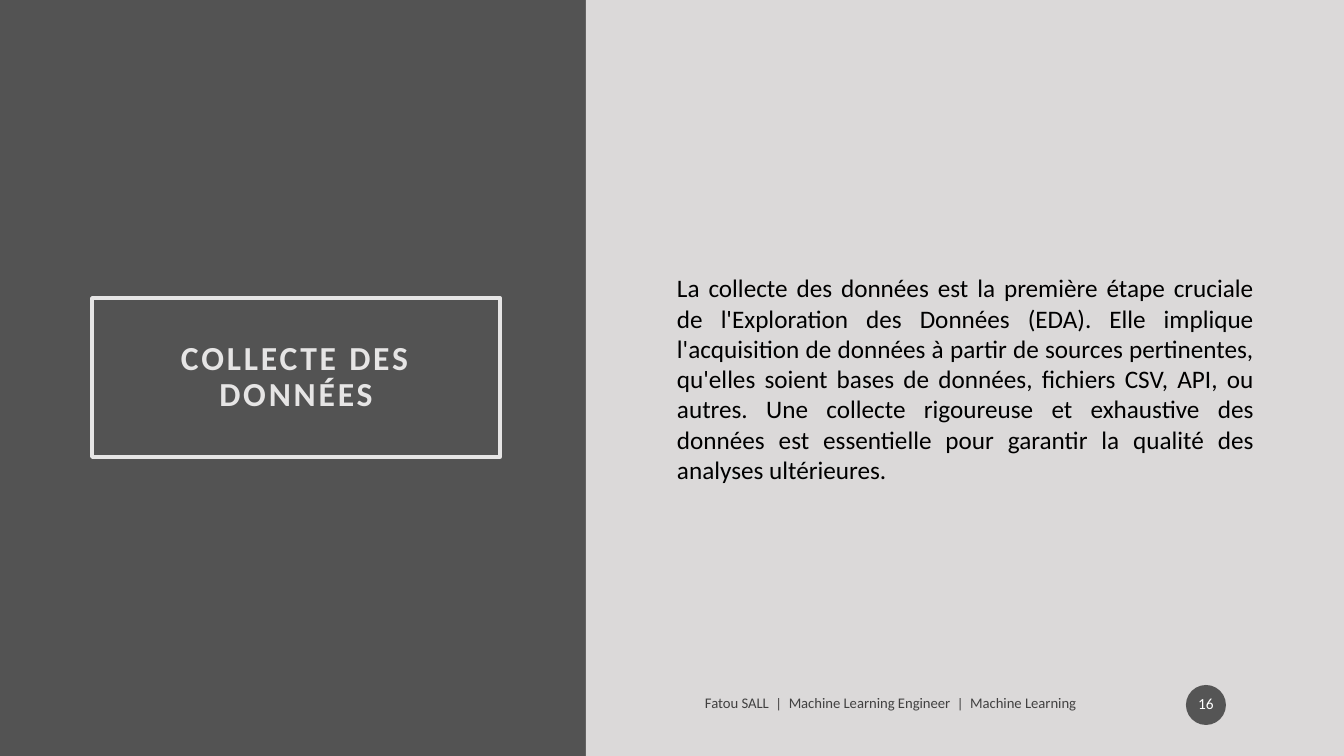
from dataclasses import dataclass
from typing import Optional

import pptx
import pptx.dml.color
import pptx.dml.fill
import pptx.enum.shapes
import pptx.enum.text
import pptx.oxml.ns
import pptx.shapes.autoshape
import pptx.slide
import pptx.util
from lxml import etree

RGBColor = pptx.dml.color.RGBColor
Shape = pptx.enum.shapes.MSO_SHAPE
Align = pptx.enum.text.PP_ALIGN

EMU_PER_PX = 914400 / 100.8
SLIDE_WIDTH, SLIDE_HEIGHT = 1344, 756
PANEL_LEFT = 586
FONT = "Calibri"

DARK_GREY = RGBColor(0x53, 0x53, 0x53)
LIGHT_GREY = RGBColor(0xDB, 0xD9, 0xD9)
TITLE_GREY = RGBColor(0xE6, 0xE5, 0xE5)
BADGE_GREY = RGBColor(0x1D, 0x1D, 0x1D)
BLACK = RGBColor(0x00, 0x00, 0x00)
WHITE = RGBColor(0xFF, 0xFF, 0xFF)

BODY_TEXT = (
    "La collecte des données est la première étape cruciale de l'Exploration des "
    "Données (EDA). Elle implique l'acquisition de données à partir de sources "
    "pertinentes, qu'elles soient bases de données, fichiers CSV, API, ou autres. "
    "Une collecte rigoureuse et exhaustive des données est essentielle pour garantir "
    "la qualité des analyses ultérieures."
)


@dataclass(frozen=True)
class Box:
    left: int
    top: int
    width: int
    height: int


@dataclass(frozen=True)
class Label:
    text: str
    size: float
    color: RGBColor
    align: Align = Align.LEFT
    inset_x: int = 10
    inset_y: int = 5
    bold: bool = False
    line_spacing: float = 1.0
    space_before: int = 0
    space_after: int = 0
    letter_spacing: int = 0
    opacity: int = 100


@dataclass(frozen=True)
class Block:
    box: Box
    geometry: Optional[Shape] = None
    fill: Optional[RGBColor] = None
    fill_opacity: int = 100
    line: Optional[RGBColor] = None
    label: Optional[Label] = None


BLOCKS = [
    Block(
        Box(92, 298, 408, 159), Shape.RECTANGLE, line=TITLE_GREY,
        label=Label("COLLECTE DES DONNÉES", 24, TITLE_GREY, Align.CENTER, 20, 20,
                    bold=True, line_spacing=0.9, letter_spacing=2),
    ),
    Block(Box(PANEL_LEFT, 0, SLIDE_WIDTH - PANEL_LEFT, SLIDE_HEIGHT),
          Shape.RECTANGLE, fill=LIGHT_GREY),
    Block(Box(667, 89, 597, 579),
          label=Label(BODY_TEXT, 18, BLACK, Align.JUSTIFY, space_before=10)),
    Block(
        Box(695, 686, 472, 34),
        label=Label("Fatou SALL  |  Machine Learning Engineer  |  Machine Learning",
                    10.5, BLACK, space_after=6, opacity=70),
    ),
    Block(
        Box(1186, 685, 40, 40), Shape.OVAL, fill=BADGE_GREY, fill_opacity=70,
        label=Label("16", 11, WHITE, Align.CENTER, 2, 5,
                    line_spacing=0.9, space_after=6),
    ),
]


def px(length: int) -> pptx.util.Emu:
    return pptx.util.Emu(round(length * EMU_PER_PX))


def paint(fill: pptx.dml.fill.FillFormat, color: RGBColor,
          holder: etree.ElementBase, opacity: int) -> None:
    """Fill with a solid colour; holder is the XML element that carries the fill."""
    fill.solid()
    fill.fore_color.rgb = color
    if opacity < 100:
        color_element = holder.find(
            f"{pptx.oxml.ns.qn('a:solidFill')}/{pptx.oxml.ns.qn('a:srgbClr')}")
        alpha = etree.SubElement(color_element, pptx.oxml.ns.qn("a:alpha"))
        alpha.set("val", str(opacity * 1000))


def write_label(shape: pptx.shapes.autoshape.Shape, label: Label) -> None:
    frame = shape.text_frame
    frame.text = label.text
    frame.word_wrap = True
    frame.vertical_anchor = pptx.enum.text.MSO_ANCHOR.MIDDLE
    frame.margin_left = frame.margin_right = px(label.inset_x)
    frame.margin_top = frame.margin_bottom = px(label.inset_y)

    paragraph = frame.paragraphs[0]
    paragraph.alignment = label.align
    paragraph.line_spacing = label.line_spacing
    paragraph.space_before = pptx.util.Pt(label.space_before)
    paragraph.space_after = pptx.util.Pt(label.space_after)

    font = paragraph.runs[0].font
    font.name = FONT
    font.size = pptx.util.Pt(label.size)
    font.bold = label.bold
    properties = paragraph.runs[0]._r.get_or_add_rPr()
    paint(font.fill, label.color, properties, label.opacity)
    if label.letter_spacing:
        properties.set("spc", str(label.letter_spacing * 100))


def draw_block(slide: pptx.slide.Slide, block: Block) -> None:
    box = block.box
    bounds = [px(side) for side in (box.left, box.top, box.width, box.height)]
    if block.geometry is None:
        shape = slide.shapes.add_textbox(*bounds)
    else:
        shape = slide.shapes.add_shape(block.geometry, *bounds)
        shape.shadow.inherit = False
        if block.fill is None:
            shape.fill.background()
        else:
            paint(shape.fill, block.fill, shape._element.spPr, block.fill_opacity)
        if block.line is None:
            shape.line.fill.background()
        else:
            shape.line.color.rgb = block.line
            shape.line.width = pptx.util.Pt(2.5)
    if block.label is not None:
        write_label(shape, block.label)


def main() -> None:
    presentation = pptx.Presentation()
    presentation.slide_width = px(SLIDE_WIDTH)
    presentation.slide_height = px(SLIDE_HEIGHT)
    slide = presentation.slides.add_slide(presentation.slide_layouts[6])
    slide.background.fill.solid()
    slide.background.fill.fore_color.rgb = DARK_GREY
    for block in BLOCKS:
        draw_block(slide, block)
    presentation.save("out.pptx")


if __name__ == "__main__":
    main()
